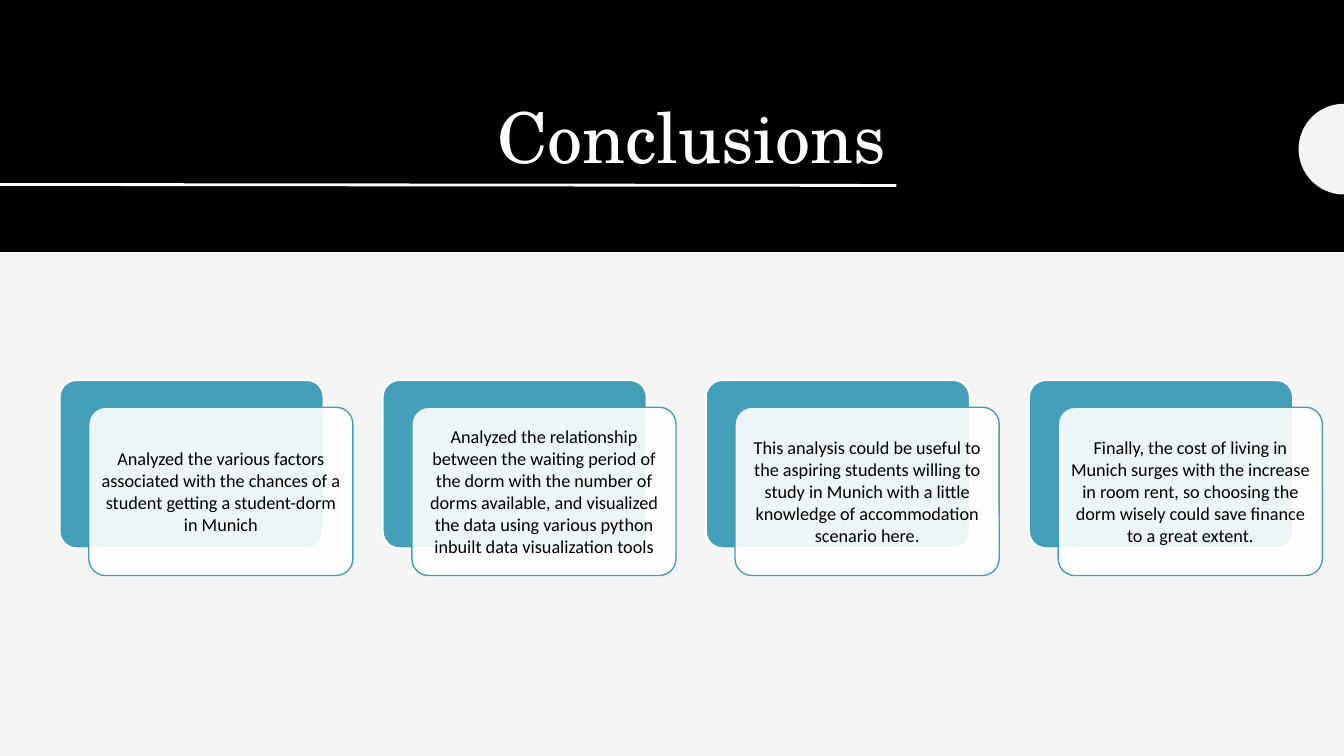
import math

from lxml import etree
from pptx import Presentation
from pptx.dml.color import RGBColor
from pptx.enum import shapes, text
from pptx.oxml import ns
from pptx.util import Inches, Pt

WHITE = RGBColor(0xFF, 0xFF, 0xFF)
BLACK = RGBColor(0x00, 0x00, 0x00)
PAPER = RGBColor(0xF5, 0xF5, 0xF5)
TEAL = RGBColor(0x43, 0x9E, 0xB7)

PAGE_WIDTH, PAGE_HEIGHT = 13.33, 7.5

CONCLUSIONS = [
    "Analyzed the various factors associated with the chances of a student "
    "getting a student-dorm in Munich",
    "Analyzed the relationship between the waiting period of the dorm with the "
    "number of dorms available, and visualized the data using various python "
    "inbuilt data visualization tools",
    "This analysis could be useful to the aspiring students willing to study in "
    "Munich with a little knowledge of accommodation scenario here.",
    "Finally, the cost of living in Munich surges with the increase in room rent, "
    "so choosing the dorm wisely could save finance to a great extent.",
]


def paint(shape, fill, line=None, width=1):
    shape.shadow.inherit = False
    shape.fill.solid()
    shape.fill.fore_color.rgb = fill
    if line is None:
        shape.line.fill.background()
    else:
        shape.line.color.rgb = line
        shape.line.width = Pt(width)


def add_span(para, words, font, size, color):
    span = para.add_run()
    span.text = words
    span.font.name = font
    span.font.size = Pt(size)
    span.font.color.rgb = color


def add_half_circle(page, right, middle, radius):
    """Left half of a disc whose flat side stands on the right edge."""
    steps = 48
    angles = [math.pi * (0.5 + step / steps) for step in range(steps + 1)]
    points = [
        (Inches(right + radius * math.cos(angle)), Inches(middle - radius * math.sin(angle)))
        for angle in angles
    ]
    builder = page.shapes.build_freeform(*points[0], scale=1.0)
    builder.add_line_segments(points[1:], close=True)
    paint(builder.convert_to_shape(), PAPER)


def add_header(page, left, top, width, height):
    # Black band
    band = page.shapes.add_shape(
        shapes.MSO_SHAPE.RECTANGLE, Inches(left), Inches(top), Inches(width), Inches(height)
    )
    paint(band, BLACK)

    # Title
    box = page.shapes.add_textbox(
        Inches(left + 1.05), Inches(top + 0.47), Inches(7.84), Inches(1.35)
    )
    frame = box.text_frame
    frame.word_wrap = True
    frame.vertical_anchor = text.MSO_ANCHOR.BOTTOM
    para = frame.paragraphs[0]
    para.alignment = text.PP_ALIGN.RIGHT
    para.line_spacing = 0.9
    add_span(para, "Conclusions", "TeX Gyre Schola", 50, WHITE)

    # Rule under the title
    rule = page.shapes.add_connector(
        shapes.MSO_CONNECTOR.STRAIGHT,
        Inches(left), Inches(top + 1.83), Inches(left + 8.89), Inches(top + 1.84),
    )
    rule.line.color.rgb = WHITE
    rule.line.width = Pt(2)
    etree.SubElement(rule._element.spPr, ns.qn("a:effectLst"))

    add_half_circle(page, left + width, top + 1.48, 0.45)


def add_panel(page, left, top, width, height, fill, line, line_width):
    panel = page.shapes.add_shape(
        shapes.MSO_SHAPE.ROUNDED_RECTANGLE,
        Inches(left), Inches(top), Inches(width), Inches(height),
    )
    panel.adjustments[0] = 0.1
    paint(panel, fill, line, line_width)
    return panel


def add_card(page, left, top, width, height, words):
    # Teal panel behind, translucent white panel in front
    add_panel(page, left, top, width, height, TEAL, WHITE, 1.5)
    front = add_panel(page, left + 0.29, top + 0.27, width, height, WHITE, TEAL, 1)
    color = front._element.spPr.find(ns.qn("a:solidFill"))[0]
    etree.SubElement(color, ns.qn("a:alpha"), val="90000")

    # Conclusion
    frame = front.text_frame
    frame.word_wrap = True
    frame.vertical_anchor = text.MSO_ANCHOR.MIDDLE
    frame.margin_left = frame.margin_right = Inches(0.05)
    frame.margin_top = frame.margin_bottom = Inches(0.05)
    para = frame.paragraphs[0]
    para.alignment = text.PP_ALIGN.CENTER
    add_span(para, words, "Calibri", 13, BLACK)


def add_cards(page, left, top, pitch, height):
    for index, words in enumerate(CONCLUSIONS):
        add_card(page, left + index * pitch, top, 2.62, height, words)


def main():
    deck = Presentation()
    deck.slide_width = Inches(PAGE_WIDTH)
    deck.slide_height = Inches(PAGE_HEIGHT)
    page = deck.slides.add_slide(deck.slide_layouts[6])
    page.background.fill.solid()
    page.background.fill.fore_color.rgb = PAPER

    add_header(page, 0, 0, PAGE_WIDTH, 2.5)
    add_cards(page, left=0.59, top=3.77, pitch=3.205, height=1.67)
    deck.save("out.pptx")


if __name__ == "__main__":
    main()
